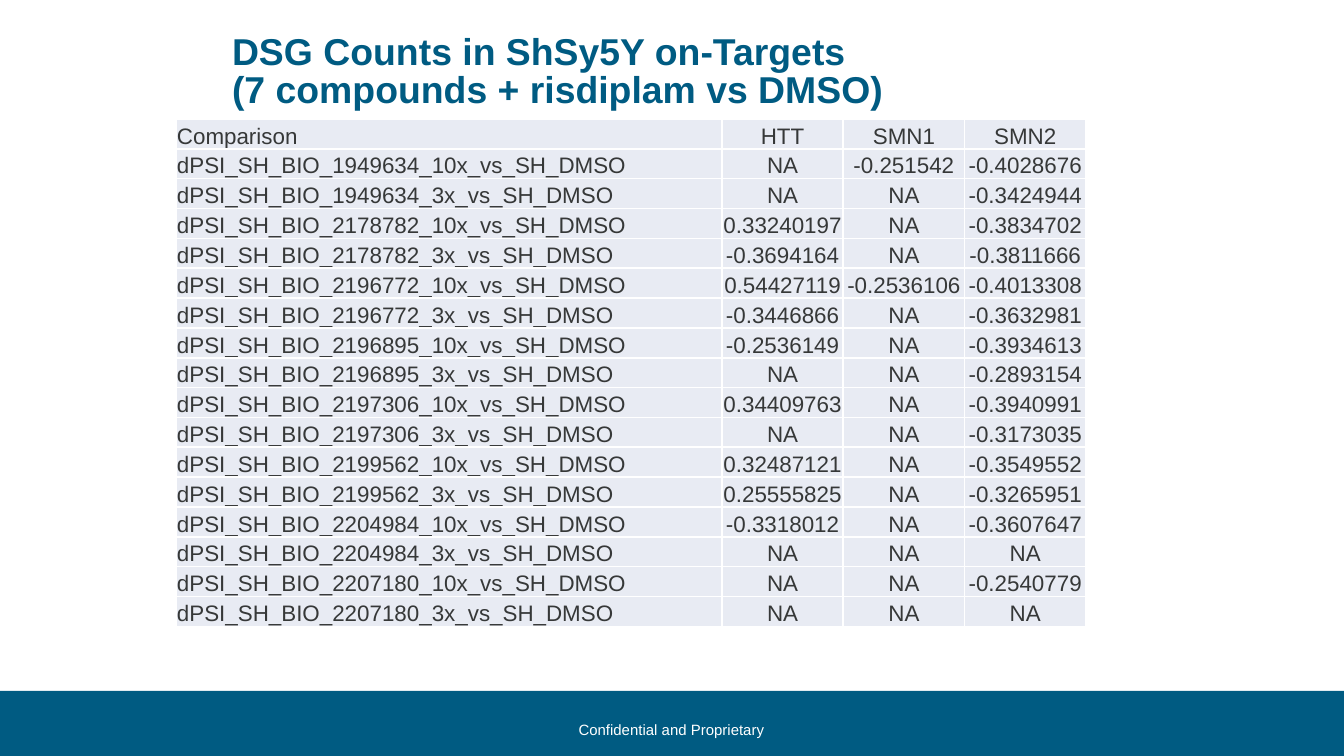
from lxml.etree import SubElement
from pptx import Presentation
from pptx.dml.color import RGBColor
from pptx.enum.shapes import MSO_SHAPE
from pptx.enum.text import MSO_ANCHOR, MSO_AUTO_SIZE, PP_ALIGN
from pptx.oxml.ns import qn
from pptx.util import Pt

COLORS = {"blue": "005B82", "cell": "E8EBF3", "text": "363838", "white": "FFFFFF"}
FONT = "Arial"
EMU_PER_PX = 914400 / 134.4

HEADER = ("Comparison", "HTT", "SMN1", "SMN2")
RESULTS = [
    ("1949634_10x", "NA", "-0.251542", "-0.4028676"),
    ("1949634_3x", "NA", "NA", "-0.3424944"),
    ("2178782_10x", "0.33240197", "NA", "-0.3834702"),
    ("2178782_3x", "-0.3694164", "NA", "-0.3811666"),
    ("2196772_10x", "0.54427119", "-0.2536106", "-0.4013308"),
    ("2196772_3x", "-0.3446866", "NA", "-0.3632981"),
    ("2196895_10x", "-0.2536149", "NA", "-0.3934613"),
    ("2196895_3x", "NA", "NA", "-0.2893154"),
    ("2197306_10x", "0.34409763", "NA", "-0.3940991"),
    ("2197306_3x", "NA", "NA", "-0.3173035"),
    ("2199562_10x", "0.32487121", "NA", "-0.3549552"),
    ("2199562_3x", "0.25555825", "NA", "-0.3265951"),
    ("2204984_10x", "-0.3318012", "NA", "-0.3607647"),
    ("2204984_3x", "NA", "NA", "NA"),
    ("2207180_10x", "NA", "NA", "-0.2540779"),
    ("2207180_3x", "NA", "NA", "NA"),
]


def px(n):
    return round(n * EMU_PER_PX)


def rgb(name):
    return RGBColor.from_string(COLORS[name])


class Deck:
    def __init__(self, width, height):
        self.prs = Presentation()
        self.prs.slide_width, self.prs.slide_height = px(width), px(height)
        self.s = self.prs.slides.add_slide(self.prs.slide_layouts[5])

    def style(self, p, size, color, bold=False, align=PP_ALIGN.LEFT):
        p.alignment = align
        for r in p.runs:
            r.font.name, r.font.size, r.font.bold = FONT, Pt(size), bold
            r.font.color.rgb = rgb(color)

    def insets(self, obj, left, top, right, bottom):
        obj.margin_left, obj.margin_top = px(left), px(top)
        obj.margin_right, obj.margin_bottom = px(right), px(bottom)

    def bar(self, x, y, w, h, color):
        sp = self.s.shapes.add_shape(MSO_SHAPE.RECTANGLE, px(x), px(y), px(w), px(h))
        sp.shadow.inherit = False
        sp.fill.solid()
        sp.fill.fore_color.rgb = rgb(color)
        sp.line.fill.background()

    def label(self, x, y, w, h, text, size, color):
        tf = self.s.shapes.add_textbox(px(x), px(y), px(w), px(h)).text_frame
        tf.word_wrap = False
        tf.auto_size = MSO_AUTO_SIZE.SHAPE_TO_FIT_TEXT
        tf.vertical_anchor = MSO_ANCHOR.MIDDLE
        tf.text = text
        self.style(tf.paragraphs[0], size, color, align=PP_ALIGN.CENTER)

    def title(self, x, y, w, h, text, size, color):
        sp = self.s.shapes.title
        sp.left, sp.top, sp.width, sp.height = px(x), px(y), px(w), px(h)
        tf = sp.text_frame
        tf.word_wrap = True
        tf.auto_size = MSO_AUTO_SIZE.NONE
        tf.vertical_anchor = MSO_ANCHOR.TOP
        self.insets(tf, 13, 7, 0, 7)
        p = tf.paragraphs[0]
        p.text = text
        p.line_spacing = 0.85
        self.style(p, size, color, bold=True)
        self.s.shapes.element.append(sp.element)

    def borders(self, cell, color):
        tc_pr = cell._tc.get_or_add_tcPr()
        for side in ("a:lnL", "a:lnR", "a:lnT", "a:lnB"):
            ln = SubElement(tc_pr, qn(side), w=str(Pt(1)))
            fill = SubElement(ln, qn("a:solidFill"))
            SubElement(fill, qn("a:srgbClr"), val=COLORS[color])

    def table(self, x, y, w, h, first_width, rows, size):
        n_rows, n_cols = len(rows), len(rows[0])
        tbl = self.s.shapes.add_table(n_rows, n_cols, px(x), px(y), px(w), px(h)).table
        tbl.first_row = tbl.horz_banding = False
        for i, col in enumerate(tbl.columns):
            col.width = px((w - first_width) / (n_cols - 1) if i else first_width)
        for row, values in zip(tbl.rows, rows):
            row.height = px(h / n_rows)
            for i, (cell, value) in enumerate(zip(row.cells, values)):
                cell.text = value
                cell.vertical_anchor = MSO_ANCHOR.BOTTOM
                self.insets(cell, 1, 1, 1, 0)
                self.borders(cell, "white")
                cell.fill.solid()
                cell.fill.fore_color.rgb = rgb("cell")
                align = PP_ALIGN.CENTER if i else PP_ALIGN.LEFT
                self.style(cell.text_frame.paragraphs[0], size, "text", align=align)


def main():
    deck = Deck(1344, 756)
    deck.bar(0, 691, 1344, 65, "blue")
    deck.label(564, 714, 215, 32, "Confidential and Proprietary", 8, "white")
    rows = [HEADER] + [(f"dPSI_SH_BIO_{name}_vs_SH_DMSO", *values) for name, *values in RESULTS]
    deck.table(176, 119, 910, 508, 546, rows, 12)
    deck.title(219, 28, 813, 91, "DSG Counts in ShSy5Y on-Targets\v(7 compounds + risdiplam vs DMSO)", 20, "blue")
    deck.prs.save("out.pptx")


if __name__ == "__main__":
    main()
